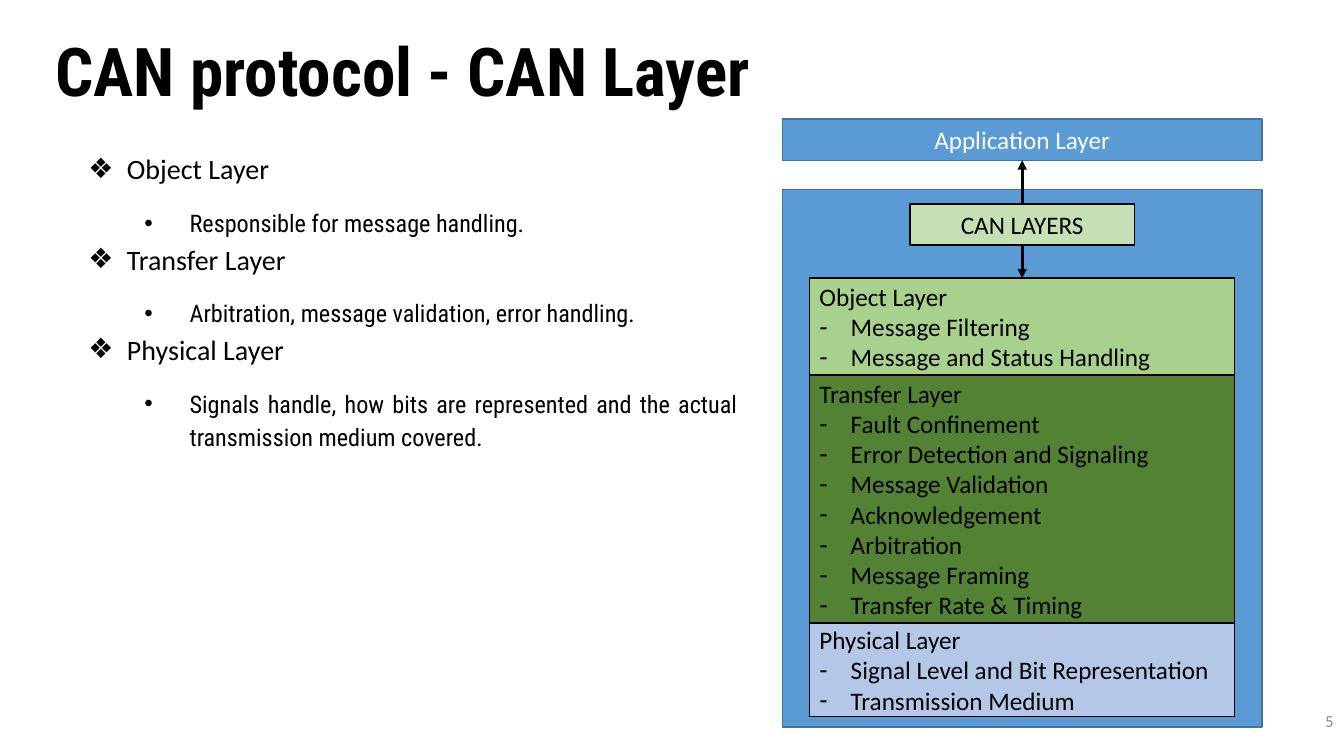
"""Build the CAN protocol slide with its layer summary and layer diagram."""
import dataclasses

import pptx
import pptx.dml.color
import pptx.enum.shapes
import pptx.enum.text
import pptx.oxml.ns
import pptx.util
from lxml import etree

Cm = pptx.util.Cm
Pt = pptx.util.Pt
ALIGN = pptx.enum.text.PP_ALIGN
ANCHOR = pptx.enum.text.MSO_ANCHOR
SHAPE = pptx.enum.shapes.MSO_SHAPE
qn = pptx.oxml.ns.qn
rgb = pptx.dml.color.RGBColor.from_string


@dataclasses.dataclass(frozen=True)
class Theme:
    heading_font: str = "Roboto Condensed"
    body_font: str = "Calibri"
    black: str = "000000"
    white: str = "FFFFFF"
    gray: str = "8C8C8C"
    blue: str = "5B9BD5"
    blue_edge: str = "43739E"
    label_green: str = "C5E0B4"
    object_green: str = "A9D18E"
    transfer_green: str = "548235"
    physical_blue: str = "B4C7E7"
    title_size: float = 48
    topic_size: float = 20
    diagram_size: float = 18
    detail_size: float = 17.3
    number_size: float = 12


theme = Theme()


def write_text(frame, text, *, size=theme.diagram_size, font=theme.body_font, color=theme.black,
               bold=False, align=ALIGN.LEFT, spacing=None, before=0, bullet=None, margin=0, hanging=0):
    """Write one formatted paragraph, filling the empty first one if there is one."""
    first = frame.paragraphs[0]
    paragraph = frame.add_paragraph() if first.runs else first
    paragraph.alignment = align
    paragraph.space_before = Pt(before)
    if spacing:
        paragraph.line_spacing = spacing
    run = paragraph.add_run()
    run.text = text
    run.font.size = Pt(size)
    run.font.name = font
    run.font.bold = bold
    run.font.color.rgb = rgb(color)
    if bullet:
        properties = paragraph._p.get_or_add_pPr()
        properties.set("marL", str(Cm(margin)))
        properties.set("indent", str(-Cm(hanging)))
        bullet_color = etree.SubElement(properties, qn("a:buClr"))
        etree.SubElement(bullet_color, qn("a:srgbClr"), val=color)
        etree.SubElement(properties, qn("a:buFont"), typeface="Arial")
        etree.SubElement(properties, qn("a:buChar"), char=bullet)


def add_box(slide, center, top, width, height, fill, edge=theme.black):
    """Add a filled rectangle centred on a vertical axis."""
    shape = slide.shapes.add_shape(SHAPE.RECTANGLE, Cm(center - width / 2), Cm(top), Cm(width), Cm(height))
    shape.shadow.inherit = False
    shape.fill.solid()
    shape.fill.fore_color.rgb = rgb(fill)
    shape.line.color.rgb = rgb(edge)
    shape.line.width = Pt(1)
    shape.text_frame.word_wrap = True
    shape.text_frame.vertical_anchor = ANCHOR.MIDDLE
    return shape


presentation = pptx.Presentation()
presentation.slide_width = Cm(33.87)
presentation.slide_height = Cm(19.05)
slide = presentation.slides.add_slide(presentation.slide_layouts[6])

text_areas = []
for left, top, width, height, anchor in [
    (1.22, 0.71, 31.42, 2.34, ANCHOR.MIDDLE),
    (1.22, 3.61, 17.55, 13.21, ANCHOR.TOP),
    (26.24, 17.65, 7.62, 1.02, ANCHOR.MIDDLE),
]:
    frame = slide.shapes.add_textbox(Cm(left), Cm(top), Cm(width), Cm(height)).text_frame
    frame.word_wrap = True
    frame.vertical_anchor = anchor
    text_areas.append(frame)
title, summary, slide_number = text_areas
for frame in (title, summary):
    frame.margin_left = frame.margin_right = Cm(0.18)
    frame.margin_top = frame.margin_bottom = Cm(0.1)

write_text(title, "CAN protocol - CAN Layer", size=theme.title_size, font=theme.heading_font,
           bold=True, spacing=0.9)
write_text(slide_number, "5", size=theme.number_size, color=theme.gray, align=ALIGN.RIGHT)

for topic, detail in [
    ("Object Layer", "Responsible for message handling."),
    ("Transfer Layer", "Arbitration, message validation, error handling."),
    ("Physical Layer", "Signals handle, how bits are represented and the actual transmission medium covered."),
]:
    write_text(summary, topic, size=theme.topic_size, align=ALIGN.JUSTIFY, spacing=1.14,
               bullet="❖", margin=1.8, hanging=0.97)
    write_text(summary, detail, size=theme.detail_size, font=theme.heading_font, align=ALIGN.JUSTIFY,
               spacing=1.15, before=13.3, bullet="•", margin=3.38, hanging=1.14)

axis = 25.76
application = add_box(slide, axis, 3, 12.09, 1.04, theme.blue, theme.blue_edge)
write_text(application.text_frame, "Application Layer", color=theme.white, align=ALIGN.CENTER)
add_box(slide, axis, 4.78, 12.09, 13.54, theme.blue, theme.blue_edge)
can_layers = add_box(slide, axis, 5.14, 5.66, 1.04, theme.label_green)
write_text(can_layers.text_frame, "CAN LAYERS", align=ALIGN.CENTER)

layer_boxes = []
layer_top = 7.01
for name, height, fill, functions in [
    ("Object Layer", 2.44, theme.object_green, ["Message Filtering", "Message and Status Handling"]),
    ("Transfer Layer", 6.25, theme.transfer_green, [
        "Fault Confinement", "Error Detection and Signaling", "Message Validation", "Acknowledgement",
        "Arbitration", "Message Framing", "Transfer Rate & Timing"]),
    ("Physical Layer", 2.36, theme.physical_blue, [
        "Signal Level and Bit Representation", "Transmission Medium"]),
]:
    layer = add_box(slide, axis, layer_top, 10.72, height, fill)
    write_text(layer.text_frame, name)
    for function in functions:
        write_text(layer.text_frame, function, bullet="-", margin=0.79, hanging=0.79)
    layer_boxes.append(layer)
    layer_top += height

for start_side, target, target_side in [(0, application, 2), (2, layer_boxes[0], 0)]:
    arrow = slide.shapes.add_connector(pptx.enum.shapes.MSO_CONNECTOR.STRAIGHT, 0, 0, 0, 0)
    arrow.begin_connect(can_layers, start_side)
    arrow.end_connect(target, target_side)
    arrow.line.color.rgb = rgb(theme.black)
    arrow.line.width = Pt(2.25)
    etree.SubElement(arrow.line._get_or_add_ln(), qn("a:tailEnd"), type="triangle")
    etree.SubElement(arrow._element.spPr, qn("a:effectLst"))

presentation.save("out.pptx")
